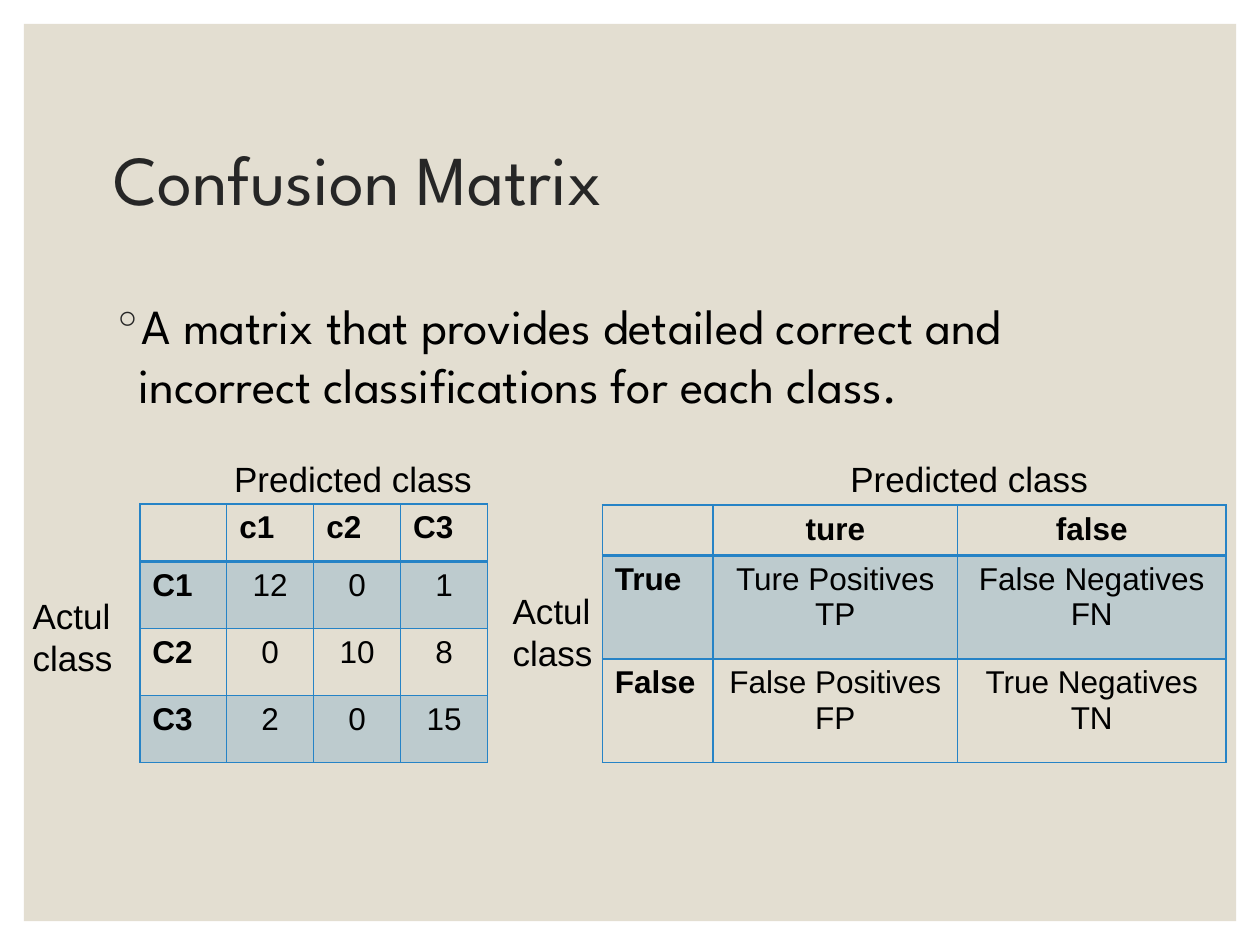
import pptx
import pptx.util
import pptx.dml.color
import pptx.enum.shapes
import pptx.enum.text
import pptx.oxml
import pptx.oxml.ns
from lxml import etree

Inches, Pt = pptx.util.Inches, pptx.util.Pt
RGBColor = pptx.dml.color.RGBColor
ALIGN, ANCHOR = pptx.enum.text.PP_ALIGN, pptx.enum.text.MSO_ANCHOR

PANEL = RGBColor(0xE3, 0xDE, 0xD1)
INK = RGBColor(0x26, 0x26, 0x26)
BLACK = RGBColor(0, 0, 0)
BLUE = RGBColor(0x26, 0x83, 0xC6)
HEADING_FONT, LABEL_FONT = "League Spartan", "Arial"

WIDTH, HEIGHT, MARGIN = 10, 7.5, 0.19
LEFT, CONTENT_WIDTH = 0.8, 8.4

TITLE = "Confusion Matrix"
DEFINITION = "A matrix that provides detailed correct and incorrect classifications for each class."
MATRICES = [
    {
        "rows": [["", "c1", "c2", "C3"],
                 ["C1", "12", "0", "1"],
                 ["C2", "0", "10", "8"],
                 ["C3", "2", "0", "15"]],
        "at": (1.11, 4), "columns": [0.69] * 4, "heights": [0.46] + [0.53] * 3,
        "header_align": ALIGN.LEFT, "predicted_left": 1.76, "actual_at": (0.16, 4.67),
    },
    {
        "rows": [["", "ture", "false"],
                 ["True", "Ture Positives\nTP", "False Negatives\nFN"],
                 ["False", "False Positives\nFP", "True Negatives\nTN"]],
        "at": (4.78, 4.01), "columns": [0.88, 1.94, 2.13], "heights": [0.4] + [0.82] * 2,
        "header_align": ALIGN.CENTER, "predicted_left": 6.65, "actual_at": (3.97, 4.63),
    },
]


def write(frame, text, font=LABEL_FONT, size=18, color=BLACK, bold=False,
          align=ALIGN.LEFT, line_spacing=None, bullet=None):
    """Fill a text frame, one paragraph for each line of text."""
    for index, line in enumerate(text.split("\n")):
        para = frame.add_paragraph() if index else frame.paragraphs[0]
        para.alignment = align
        para.line_spacing = line_spacing
        if bullet:
            add_bullet(para, bullet)
        para.font.size = Pt(size)
        if not line:
            continue
        span = para.add_run()
        span.text = line
        span.font.name, span.font.size, span.font.bold = font, Pt(size), bold
        span.font.color.rgb = color


def add_bullet(para, symbol):
    properties = para._p.get_or_add_pPr()
    properties.set("marL", str(Inches(0.2)))
    properties.set("indent", str(Inches(-0.2)))
    color = etree.SubElement(properties, pptx.oxml.ns.qn("a:buClr"))
    etree.SubElement(color, pptx.oxml.ns.qn("a:srgbClr"), val=str(INK))
    etree.SubElement(properties, pptx.oxml.ns.qn("a:buFont"), typeface=HEADING_FONT)
    etree.SubElement(properties, pptx.oxml.ns.qn("a:buChar"), char=symbol)


def add_text(slide, text, left, top, width, height, wrap=True, **style):
    box = slide.shapes.add_textbox(*map(Inches, (left, top, width, height)))
    box.text_frame.word_wrap = wrap
    write(box.text_frame, text, **style)


def set_borders(cell, **widths):
    """Draw cell edges; widths maps L, R, T and B to points."""
    properties = cell._tc.get_or_add_tcPr()
    for position, (side, width) in enumerate(widths.items()):
        properties.insert(position, pptx.oxml.parse_xml(
            f'<a:ln{side} {pptx.oxml.ns.nsdecls("a")} w="{Pt(width)}"><a:solidFill>'
            f'<a:srgbClr val="{BLUE}"/></a:solidFill></a:ln{side}>'))


def tint(cell, percent):
    cell.fill.solid()
    cell.fill.fore_color.rgb = BLUE
    color = cell._tc.tcPr.find(".//" + pptx.oxml.ns.qn("a:srgbClr"))
    etree.SubElement(color, pptx.oxml.ns.qn("a:alpha"), val=str(percent * 1000))


def add_matrix(slide, matrix):
    rows, columns, heights = matrix["rows"], matrix["columns"], matrix["heights"]
    size = (sum(columns), sum(heights))
    table = slide.shapes.add_table(len(rows), len(columns),
                                   *map(Inches, matrix["at"] + size)).table
    table.first_row = table.horz_banding = False
    for column, width in zip(table.columns, columns):
        column.width = Inches(width)
    for r, values in enumerate(rows):
        table.rows[r].height = Inches(heights[r])
        for c, value in enumerate(values):
            cell = table.cell(r, c)
            if r % 2:
                tint(cell, 20)
            else:
                cell.fill.background()
            set_borders(cell, L=1, R=1, T=2 if r == 1 else 1, B=2 if r == 0 else 1)
            if c == 0:
                align = ALIGN.LEFT
            else:
                align = ALIGN.CENTER if r else matrix["header_align"]
            write(cell.text_frame, value, bold=r == 0 or c == 0, align=align)
    add_text(slide, "Predicted class", matrix["predicted_left"], 3.58, 2.1, 0.44,
             wrap=False, size=20)
    add_text(slide, "Actul class", *matrix["actual_at"], 0.95, 0.77, size=20)


def main():
    deck = pptx.Presentation()
    deck.slide_width, deck.slide_height = Inches(WIDTH), Inches(HEIGHT)
    slide = deck.slides.add_slide(deck.slide_layouts[5])

    panel = slide.shapes.add_shape(
        pptx.enum.shapes.MSO_SHAPE.RECTANGLE, Inches(MARGIN), Inches(MARGIN),
        Inches(WIDTH - 2 * MARGIN), Inches(HEIGHT - 2 * MARGIN))
    panel.shadow.inherit = False
    panel.fill.solid()
    panel.fill.fore_color.rgb = PANEL
    panel.line.fill.background()
    slide.shapes._spTree.insert(2, panel._element)

    title = slide.shapes.title
    title.left, title.top = Inches(LEFT), Inches(0.7)
    title.width, title.height = Inches(CONTENT_WIDTH), Inches(1.5)
    title.text_frame.vertical_anchor = ANCHOR.MIDDLE
    write(title.text_frame, TITLE, font=HEADING_FONT, size=40, color=INK, line_spacing=0.9)

    add_text(slide, DEFINITION, LEFT, 2.3, CONTENT_WIDTH, 4.3,
             font=HEADING_FONT, size=28, bullet="◦")
    for matrix in MATRICES:
        add_matrix(slide, matrix)
    deck.save("out.pptx")


if __name__ == "__main__":
    main()
